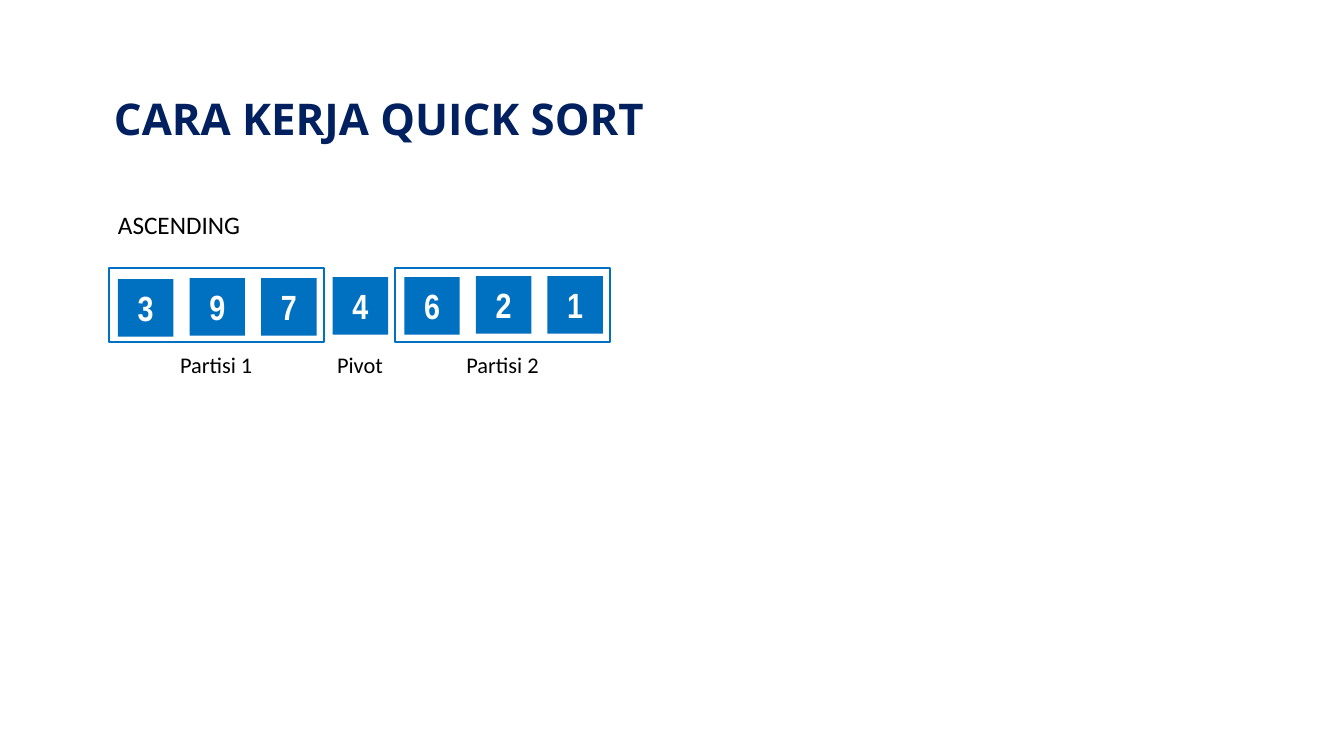
from pptx import Presentation
from pptx import util as u
from pptx.dml.color import RGBColor
from pptx.enum import shapes, text

NAVY = RGBColor(0x00, 0x20, 0x60)
BLUE = RGBColor(0x00, 0x70, 0xC0)
BLACK = RGBColor(0x00, 0x00, 0x00)
WHITE = RGBColor(0xFF, 0xFF, 0xFF)
EMU_PER_PX = 9144


def px(*lengths):
    return [u.Emu(length * EMU_PER_PX) for length in lengths]


class SortSlide:
    title_font = "Open Sans"
    body_font = "Calibri"
    tile_font = "Arial Narrow"

    def __init__(self, deck):
        self.page = deck.slides.add_slide(deck.slide_layouts[5])

    def add_words(self, box, words, font, size, color, bold=False,
                  align=text.PP_ALIGN.LEFT, anchor=text.MSO_ANCHOR.TOP,
                  insets=(10, 5), wrap=True):
        frame = box.text_frame
        frame.word_wrap = wrap
        frame.auto_size = text.MSO_AUTO_SIZE.NONE
        frame.vertical_anchor = anchor
        side, edge = px(*insets)
        frame.margin_left = frame.margin_right = side
        frame.margin_top = frame.margin_bottom = edge
        para = frame.paragraphs[0]
        para.alignment = align
        span = para.add_run()
        span.text = words
        span.font.name = font
        span.font.size = u.Pt(size)
        span.font.bold = bold
        span.font.color.rgb = color
        return para

    def title(self, words, left, top, width, height):
        box = self.page.shapes.title
        box.left, box.top, box.width, box.height = px(left, top, width, height)
        self.add_words(box, words, self.title_font, 31.2, NAVY, bold=True,
                       anchor=text.MSO_ANCHOR.MIDDLE, insets=(13, 7))

    def heading(self, words, left, top, width, height):
        box = self.page.shapes.add_textbox(*px(left, top, width, height))
        para = self.add_words(box, words, self.body_font, 18, BLACK,
                              insets=(0, 5))
        para.line_spacing = 1.2

    def label(self, words, left, top, width, height):
        box = self.page.shapes.add_textbox(*px(left, top, width, height))
        self.add_words(box, words, self.body_font, 16, BLACK,
                       align=text.PP_ALIGN.CENTER, wrap=False)

    def rectangle(self, left, top, width, height):
        box = self.page.shapes.add_shape(
            shapes.MSO_SHAPE.RECTANGLE, *px(left, top, width, height))
        box.shadow.inherit = False
        return box

    def tile(self, number, left, top, width, height):
        box = self.rectangle(left, top, width, height)
        box.fill.solid()
        box.fill.fore_color.rgb = BLUE
        box.line.fill.background()
        self.add_words(box, str(number), self.tile_font, 25, WHITE, bold=True,
                       align=text.PP_ALIGN.CENTER,
                       anchor=text.MSO_ANCHOR.MIDDLE)

    def outline(self, left, top, width, height):
        box = self.rectangle(left, top, width, height)
        box.fill.background()
        box.line.color.rgb = BLUE
        box.line.width = u.Pt(1.5)


def main():
    deck = Presentation()
    deck.slide_width, deck.slide_height = px(1333, 750)
    slide = SortSlide(deck)
    slide.title("CARA KERJA QUICK SORT", 100, 84, 1133, 67)
    slide.heading("ASCENDING", 117, 197, 823, 46)

    for index, number in enumerate([3, 9, 7, 4, 6, 2, 1]):
        slide.tile(number, 117 + 71 * index, 277 - (index + 1) // 2, 55, 57)

    for words, left in [("Partisi 1", 108), ("Partisi 2", 392)]:
        slide.outline(left, 266, 213, 73)
        slide.label(words, left, 343, 213, 37)
    slide.label("Pivot", 324, 343, 66, 37)

    deck.save("out.pptx")


if __name__ == "__main__":
    main()
